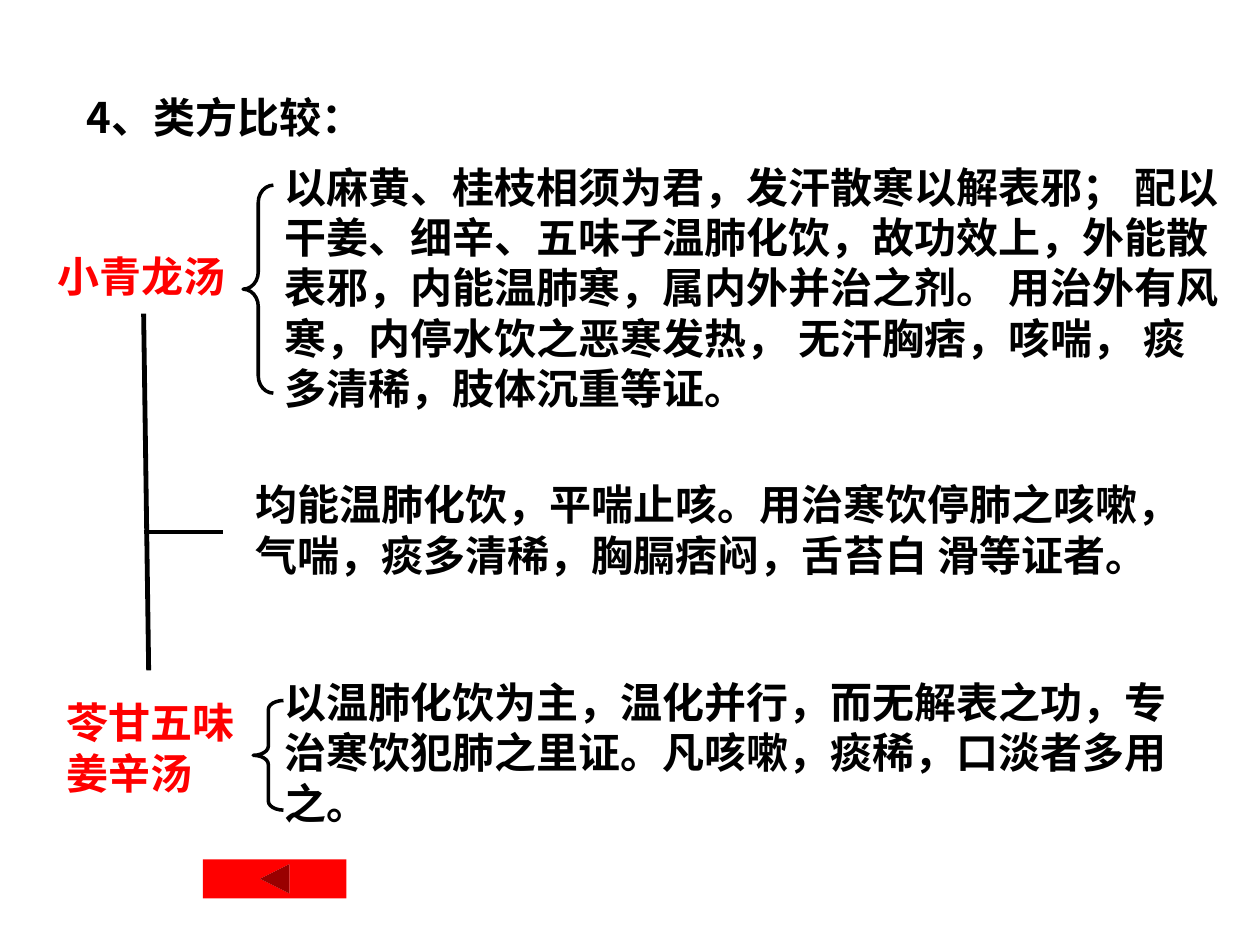
from pptx import Presentation
from pptx.util import Inches, Pt
from pptx.dml.color import RGBColor as RGB
from pptx.enum.shapes import MSO_SHAPE as Shape, MSO_CONNECTOR as Conn
from pptx.enum.text import MSO_ANCHOR as Anchor, PP_ALIGN as Align
from pptx.oxml.ns import qn
from lxml.etree import SubElement as Sub

HEX = {"ink": "000000", "red": "FF0000"}
SANS, ARIAL = "Noto Sans CJK SC", "Arial"

HEAD = "4、类方比较："
TEXTS = [
    ("均能温肺化饮，平喘止咳。用治寒饮停肺之咳嗽，气喘，痰多清稀，胸膈痞闷，舌苔白 滑等证者。",
     (1.93, 3.75, 7.72, 0.9), "ink", SANS, True),
    ("以麻黄、桂枝相须为君，发汗散寒以解表邪； 配以干姜、细辛、五味子温肺化饮，故功效上，"
     "外能散表邪，内能温肺寒，属内外并治之剂。 用治外有风寒，内停水饮之恶寒发热， "
     "无汗胸痞，咳喘， 痰多清稀，肢体沉重等证。",
     (2.16, 1.23, 7.64, 2.1), "ink", SANS, True),
    ("以温肺化饮为主，温化并行，而无解表之功，专治寒饮犯肺之里证。凡咳嗽，痰稀，口淡者多用之。",
     (2.16, 5.32, 7.32, 1.3), "ink", ARIAL, True),
    ("苓甘五味姜辛汤", (0.43, 5.48, 1.73, 0.9), "red", SANS, True),
    ("小青龙汤", (0.36, 1.94, 1.53, 0.5), "red", ARIAL, False),
]
BRACES = [((1.93, 1.47, 0.24, 1.65), 0.57), ((2.01, 5.56, 0.24, 0.87), 0.3)]
LINES = [((1.14, 2.49, 1.18, 5.32), 2.75), ((1.14, 4.22, 1.77, 4.22), 2.25)]
BUTTON = (1.61, 6.82, 1.14, 0.31)


def span(box):
    return [Inches(n) for n in box]


def color(name):
    return RGB.from_string(HEX[name])


def write(frame, text, tint, face):
    frame.vertical_anchor = Anchor.TOP
    para = frame.paragraphs[0]
    para.text = text
    para.alignment = Align.LEFT
    para.space_before = Pt(0)
    props = para._p.get_or_add_pPr()
    props.set("marL", "0")
    props.set("indent", "0")
    Sub(props, qn("a:buNone"))
    font = para.font
    font.size, font.bold, font.name = Pt(24), True, face
    font.color.rgb = color(tint)
    Sub(props.find(qn("a:defRPr")), qn("a:ea"), typeface=SANS)


deck = Presentation()
deck.slide_width, deck.slide_height = Inches(10), Inches(7.5)
slide = deck.slides.add_slide(deck.slide_layouts[1])
shapes = slide.shapes
title, body = slide.placeholders
title.element.getparent().remove(title.element)
body.left, body.top, body.width, body.height = span((0.59, 0.68, 8.98, 6.25))
write(body.text_frame, HEAD, "ink", SANS)

for box, bend in BRACES:
    brace = shapes.add_shape(Shape.LEFT_BRACE, *span(box))
    brace.shadow.inherit = False
    brace.adjustments[0] = bend
    brace.fill.background()
    brace.line.color.rgb = color("ink")
    brace.line.width = Pt(2)

for ends, width in LINES:
    line = shapes.add_connector(Conn.STRAIGHT, *span(ends))
    line.line.color.rgb = color("ink")
    line.line.width = Pt(width)
    Sub(line._element.spPr, qn("a:effectLst"))

back = shapes.add_shape(Shape.ACTION_BUTTON_BACK_OR_PREVIOUS, *span(BUTTON))
back.shadow.inherit = False
back.fill.solid()
back.fill.fore_color.rgb = color("red")
back.line.fill.background()

for text, box, tint, face, wrap in TEXTS:
    frame = shapes.add_textbox(*span(box)).text_frame
    frame.word_wrap = wrap
    write(frame, text, tint, face)

deck.save("out.pptx")
